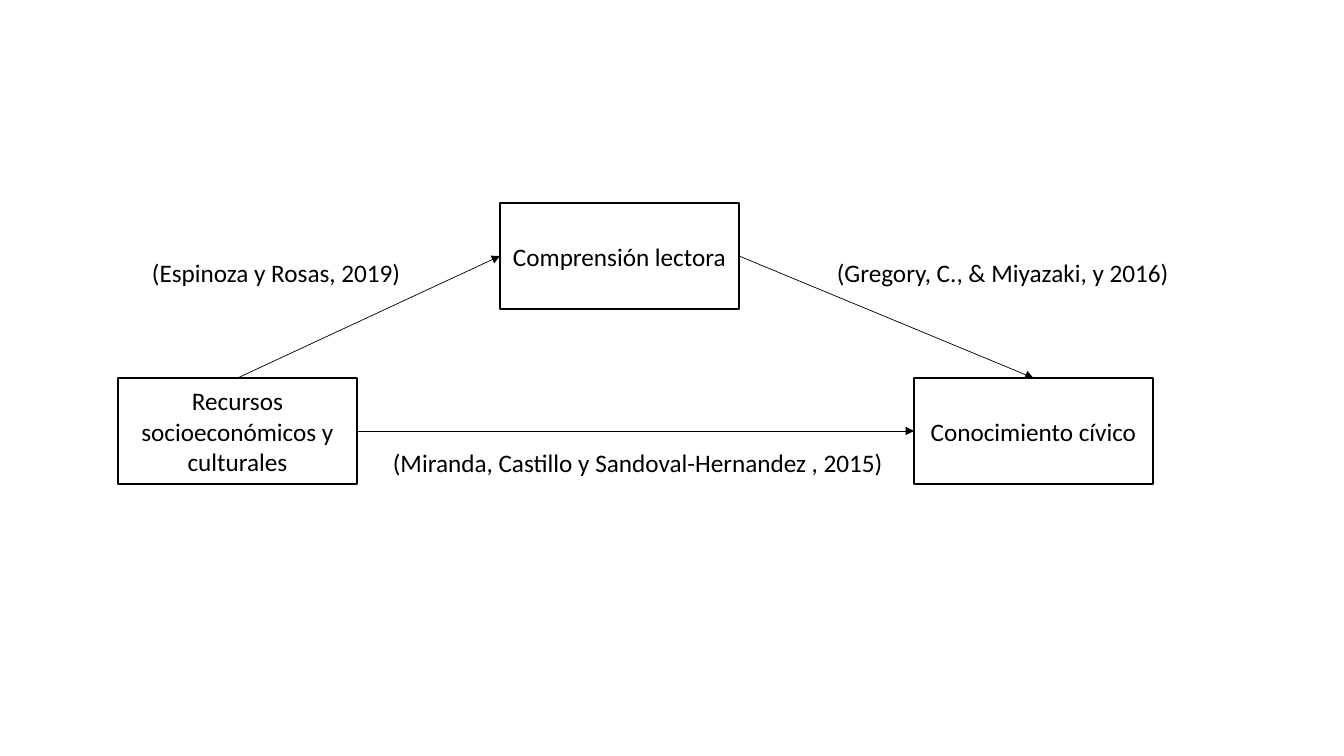
"""Build a mediation diagram: three concept boxes joined by cited arrows."""
import pptx
import pptx.dml.color
import pptx.enum.shapes
import pptx.enum.text
import pptx.oxml.ns
import pptx.util
import lxml.etree

BLACK = pptx.dml.color.RGBColor(0x00, 0x00, 0x00)
WHITE = pptx.dml.color.RGBColor(0xFF, 0xFF, 0xFF)
PIXEL = 914400 / 100.8
BOX_WIDTH, BOX_HEIGHT = 239, 106
TOP, LEFT, RIGHT = 0, 1, 3


def emu(*pixels):
    return [pptx.util.Emu(round(pixel * PIXEL)) for pixel in pixels]


def add_text(shape, text, alignment):
    shape.text_frame.word_wrap = True
    para = shape.text_frame.paragraphs[0]
    para.alignment = alignment
    span = para.add_run()
    span.text = text
    span.font.name = "Calibri"
    span.font.size = pptx.util.Pt(18)
    span.font.color.rgb = BLACK


deck = pptx.Presentation()
deck.slide_width, deck.slide_height = emu(1344, 756)
page = deck.slides.add_slide(deck.slide_layouts[6])

concepts = [
    ("Recursos socioeconómicos y culturales", 118, 378),
    ("Comprensión lectora", 500, 203),
    ("Conocimiento cívico", 914, 378),
]
boxes = []
for text, left, top in concepts:
    box = page.shapes.add_shape(
        pptx.enum.shapes.MSO_SHAPE.RECTANGLE, *emu(left, top, BOX_WIDTH, BOX_HEIGHT)
    )
    box.shadow.inherit = False
    box.fill.solid()
    box.fill.fore_color.rgb = WHITE
    box.line.color.rgb = BLACK
    box.line.width = pptx.util.Pt(1)
    box.text_frame.vertical_anchor = pptx.enum.text.MSO_ANCHOR.MIDDLE
    add_text(box, text, pptx.enum.text.PP_ALIGN.CENTER)
    boxes.append(box)

resources, reading, civics = boxes
links = [
    (resources, TOP, reading, LEFT),
    (reading, RIGHT, civics, TOP),
    (resources, RIGHT, civics, LEFT),
]
for source, source_side, target, target_side in links:
    arrow = page.shapes.add_connector(
        pptx.enum.shapes.MSO_CONNECTOR.STRAIGHT, 0, 0, 0, 0
    )
    arrow.begin_connect(source, source_side)
    arrow.end_connect(target, target_side)
    arrow.line.color.rgb = BLACK
    arrow.line.width = pptx.util.Pt(0.5)
    outline = arrow.line._get_or_add_ln()
    lxml.etree.SubElement(outline, pptx.oxml.ns.qn("a:tailEnd"), type="triangle")
    lxml.etree.SubElement(arrow._element.spPr, pptx.oxml.ns.qn("a:effectLst"))

citations = [
    ("(Gregory, C., & Miyazaki, y 2016)", 827, 252, 414),
    ("(Espinoza y Rosas, 2019)", 142, 252, 283),
    ("(Miranda, Castillo y Sandoval-Hernandez , 2015)", 383, 442, 556),
]
for text, left, top, width in citations:
    citation = page.shapes.add_textbox(*emu(left, top, width, 41))
    citation.text_frame.auto_size = pptx.enum.text.MSO_AUTO_SIZE.SHAPE_TO_FIT_TEXT
    add_text(citation, text, pptx.enum.text.PP_ALIGN.LEFT)

deck.save("out.pptx")
